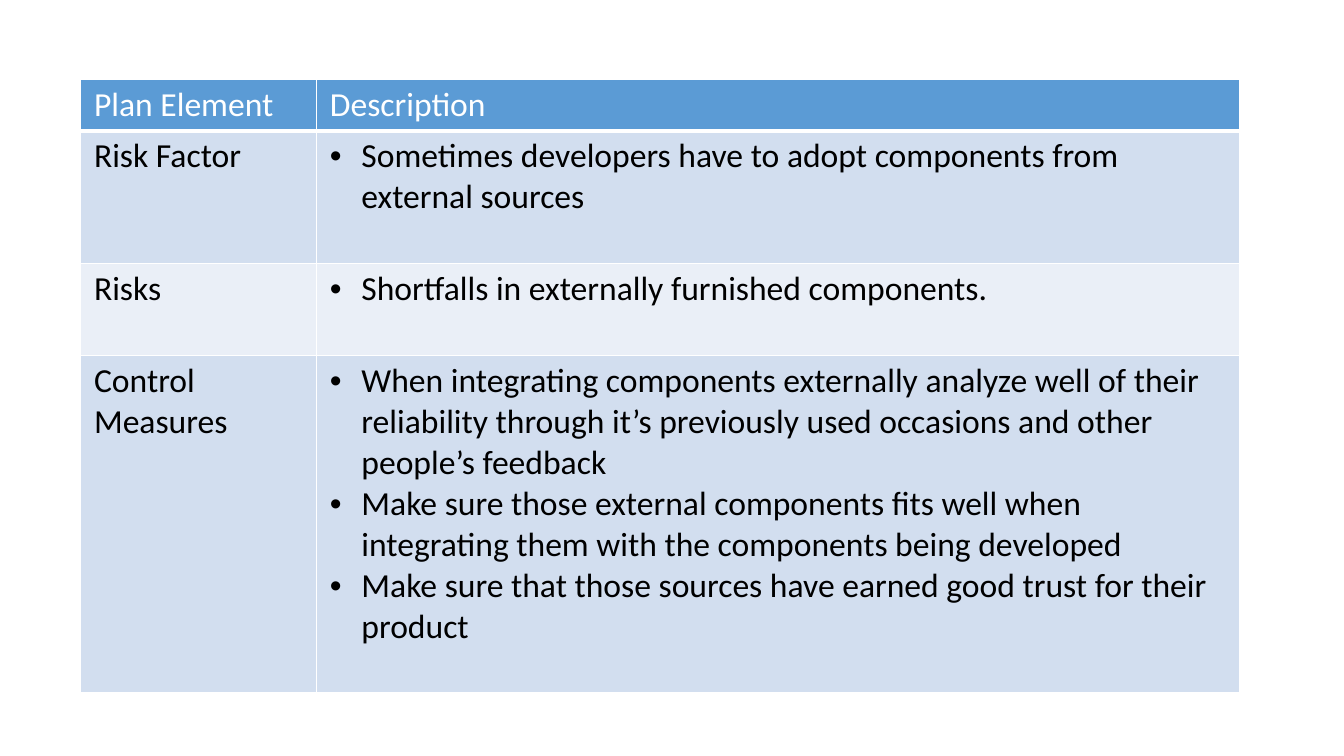
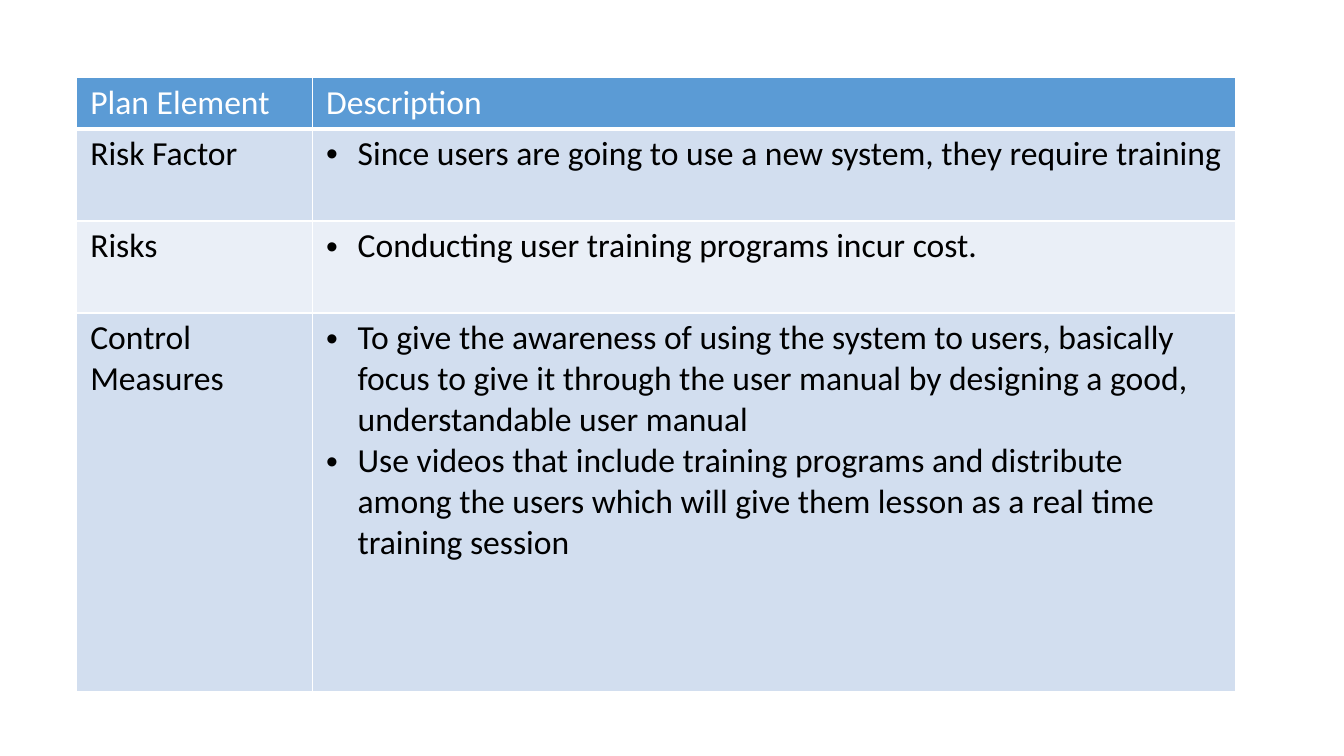
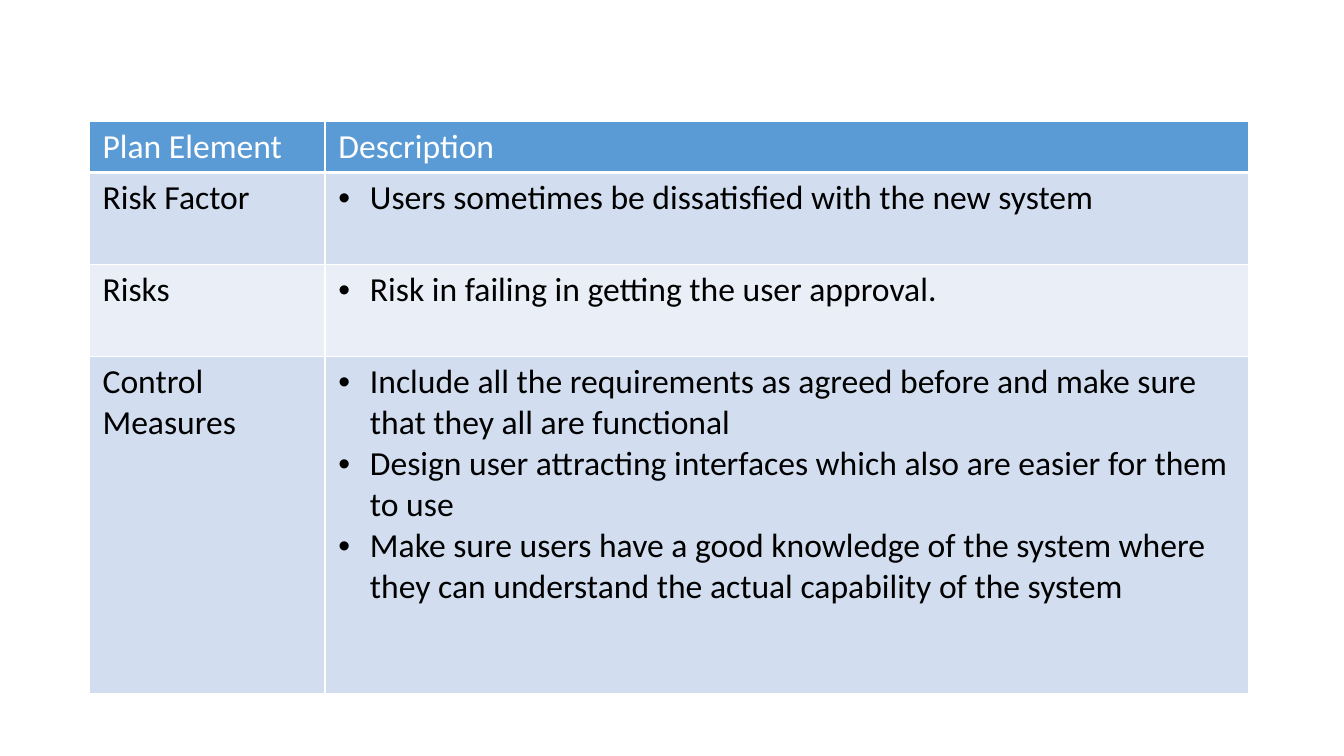
import dataclasses

import pptx
import pptx.dml.color
import pptx.oxml.ns
import pptx.util
from lxml import etree

Pt = pptx.util.Pt
qn = pptx.oxml.ns.qn


@dataclasses.dataclass
class Theme:
    font: str = "Calibri"
    size: int = 24
    head: str = "5B9BD5"
    odd: str = "D2DEEF"
    even: str = "EAEFF7"
    white: str = "FFFFFF"
    black: str = "000000"
    thin: int = 1
    thick: int = 3


theme = Theme()
heads = ["Plan Element", "Description"]
names = ["Risk Factor", "Risks", "Control Measures"]
fills = [theme.head, theme.odd, theme.even, theme.odd]
widths = [168.5, 659.5]
indent = 22.5

plans = [
    {
        "left": 57.6,
        "top": 56.9,
        "rows": [36.5, 95, 65.8, 240.7],
        "texts": [
            ["Sometimes developers have to adopt components from external sources"],
            ["Shortfalls in externally furnished components."],
            [
                "When integrating components externally analyze well of their reliability through it’s previously used occasions and other people’s feedback",
                "Make sure those external components fits well when integrating them with the components being developed",
                "Make sure that those sources have earned good trust for their product",
            ],
        ],
    },
    {
        "left": 54.9,
        "top": 55.5,
        "rows": [36.5, 65.8, 65.8, 270.4],
        "texts": [
            ["Since users are going to use a new system, they require training"],
            ["Conducting user training programs incur cost."],
            [
                "To give the awareness of using the system to users, basically focus to give it through the user manual by designing a good, understandable user manual",
                "Use videos that include training programs and distribute among the users which will give them lesson as a real time training session",
            ],
        ],
    },
    {
        "left": 63.7,
        "top": 86.7,
        "rows": [36.5, 65.8, 65.8, 240.7],
        "texts": [
            ["Users sometimes be dissatisfied with the new system"],
            ["Risk in failing in getting the user approval."],
            [
                "Include all the requirements as agreed before and make sure that they all are functional",
                "Design user attracting interfaces which also are easier for them to use",
                "Make sure users have a good knowledge of the system where they can understand the actual capability of the system",
            ],
        ],
    },
]


def style(cell, fill, base):
    cell.margin_left = cell.margin_right = Pt(9.6)
    cell.margin_top = cell.margin_bottom = Pt(3.6)
    props = cell._tc.get_or_add_tcPr()
    for side in "LRTB":
        width = base if side == "B" else theme.thin
        line = etree.SubElement(props, qn(f"a:ln{side}"), w=str(Pt(width)))
        solid = etree.SubElement(line, qn("a:solidFill"))
        etree.SubElement(solid, qn("a:srgbClr"), val=theme.white)
    cell.fill.solid()
    cell.fill.fore_color.rgb = pptx.dml.color.RGBColor.from_string(fill)


def write(cell, lines, color, listed):
    frame = cell.text_frame
    frame.text = "\n".join(lines)
    for para in frame.paragraphs:
        if listed:
            props = para._p.get_or_add_pPr()
            props.set("marL", str(Pt(indent)))
            props.set("indent", str(-Pt(indent)))
            etree.SubElement(props, qn("a:buFont"), typeface="Arial")
            etree.SubElement(props, qn("a:buChar"), char="•")
        para.font.name = theme.font
        para.font.size = Pt(theme.size)
        para.font.bold = False
        para.font.color.rgb = pptx.dml.color.RGBColor.from_string(color)


deck = pptx.Presentation()
deck.slide_width = Pt(960)
deck.slide_height = Pt(540)

for plan in plans:
    slide = deck.slides.add_slide(deck.slide_layouts[6])
    rows = plan["rows"]
    table = slide.shapes.add_table(
        len(rows), len(widths), Pt(plan["left"]), Pt(plan["top"]),
        Pt(sum(widths)), Pt(sum(rows)),
    ).table
    for col, width in zip(table.columns, widths):
        col.width = Pt(width)
    body = [[[name], lines] for name, lines in zip(names, plan["texts"])]
    grid = [[[head] for head in heads]] + body
    for r, (height, texts) in enumerate(zip(rows, grid)):
        table.rows[r].height = Pt(height)
        for c, lines in enumerate(texts):
            cell = table.cell(r, c)
            style(cell, fills[r], theme.thin if r else theme.thick)
            write(cell, lines, theme.black if r else theme.white, r > 0 and c == 1)

deck.save("out.pptx")
